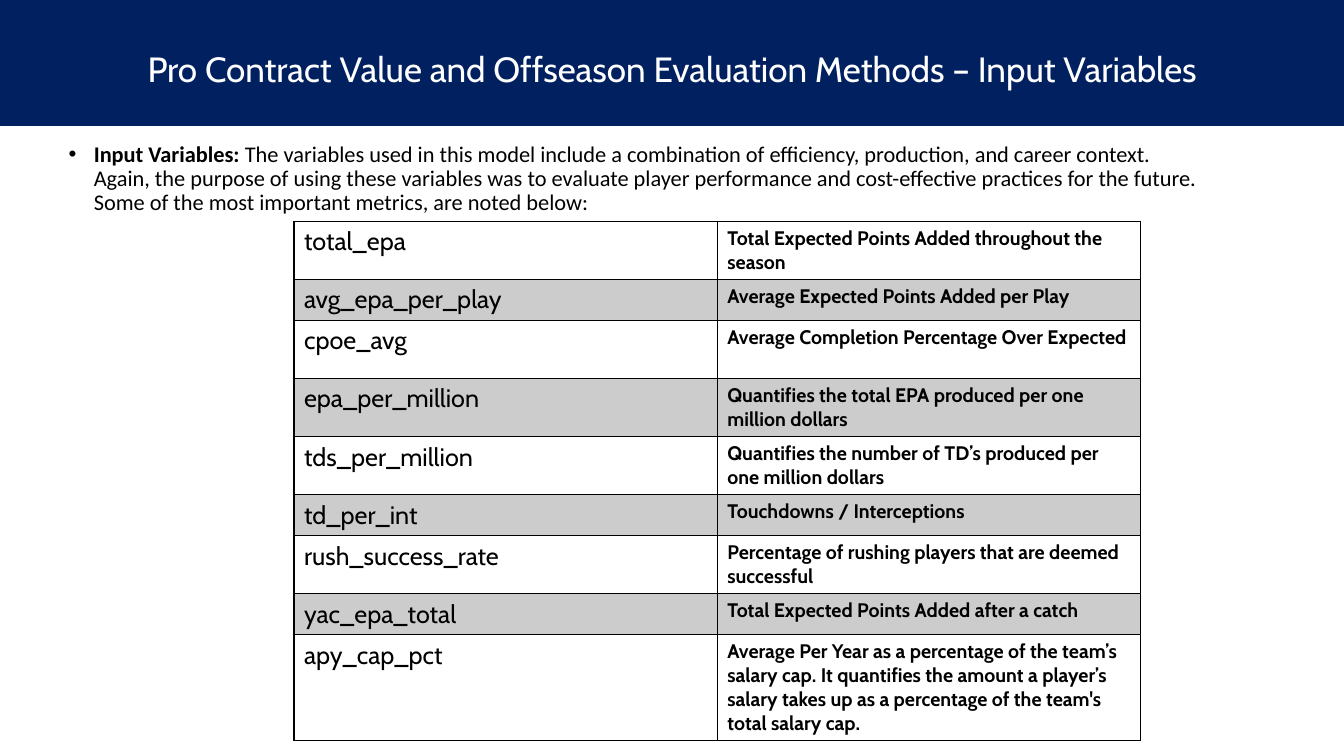
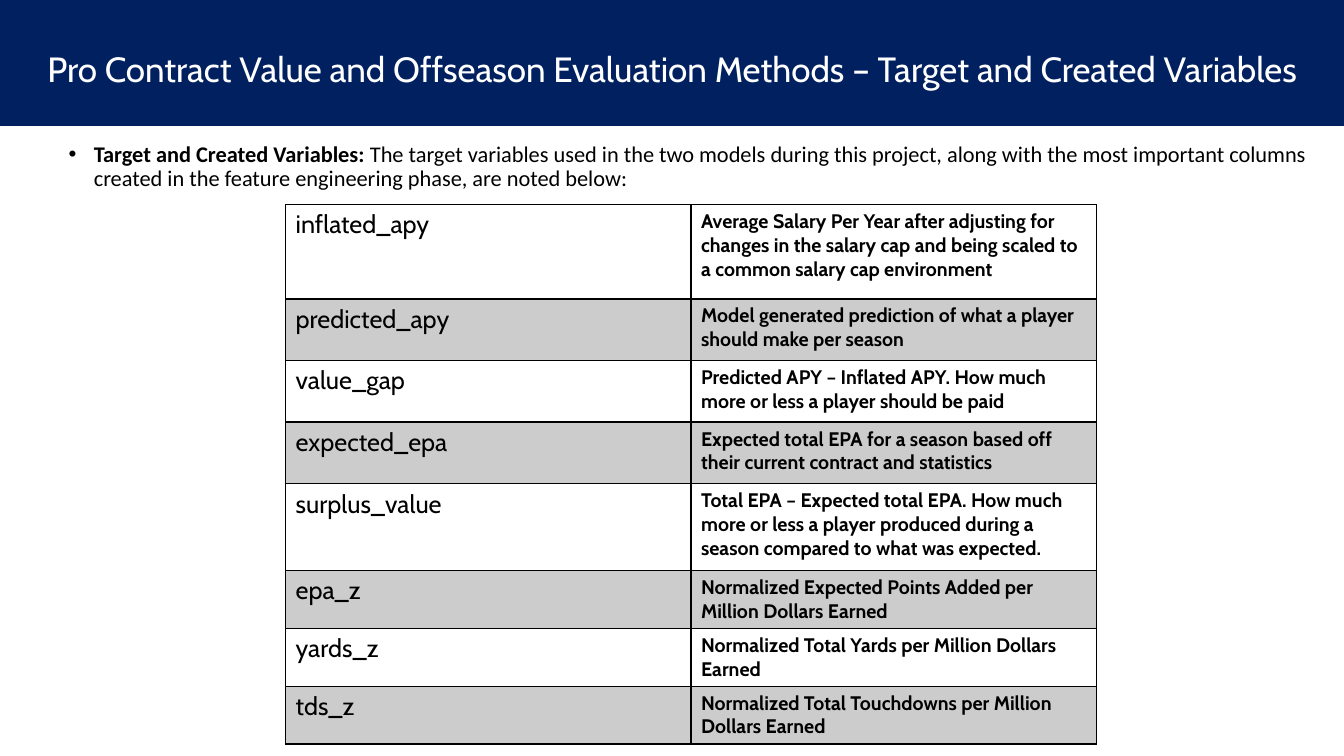
from lxml.etree import SubElement
from pptx import Presentation
from pptx.dml.color import RGBColor
from pptx.enum.text import MSO_ANCHOR, MSO_AUTO_SIZE, PP_ALIGN
from pptx.oxml.ns import qn
from pptx.util import Pt

COLORS = {"band": "002060", "title": "FFFFFF", "text": "000000", "stripe": "CCCCCC"}
SLIDE_WIDTH, SLIDE_HEIGHT = Pt(960), Pt(540)
TITLE_FONT, BODY_FONT = "Cabin", "Calibri"
TITLE_START = "Pro Contract Value and Offseason Evaluation Methods – "

INPUT_VARIABLES = [
    ("total_epa", "Total Expected Points Added throughout the season", 41.5),
    ("avg_epa_per_play", "Average Expected Points Added per Play", 29.2),
    ("cpoe_avg", "Average Completion Percentage Over Expected", 41.5),
    ("epa_per_million", "Quantifies the total EPA produced per one million dollars", 41.5),
    ("tds_per_million", "Quantifies the number of TD’s produced per one million dollars", 41.5),
    ("td_per_int", "Touchdowns / Interceptions", 29.2),
    ("rush_success_rate", "Percentage of rushing players that are deemed successful", 41.5),
    ("yac_epa_total", "Total Expected Points Added after a catch", 29.2),
    ("apy_cap_pct",
     "Average Per Year as a percentage of the team’s salary cap. It quantifies the amount "
     "a player’s salary takes up as a percentage of the team's total salary cap.", 75.6),
]
CREATED_VARIABLES = [
    ("inflated_apy",
     "Average Salary Per Year after adjusting for changes in the salary cap and being "
     "scaled to a common salary cap environment", 67.5),
    ("predicted_apy", "Model generated prediction of what a player should make per season", 44),
    ("value_gap",
     "Predicted APY – Inflated APY. How much more or less a player should be paid", 44),
    ("expected_epa",
     "Expected total EPA for a season based off their current contract and statistics", 44),
    ("surplus_value",
     "Total EPA – Expected total EPA. How much more or less a player produced during a "
     "season compared to what was expected.", 62),
    ("epa_z", "Normalized Expected Points Added per Million Dollars Earned", 41),
    ("yards_z", "Normalized Total Yards per Million Dollars Earned", 41),
    ("tds_z", "Normalized Total Touchdowns per Million Dollars Earned", 41),
]


def color(name):
    return RGBColor.from_string(COLORS[name])


def place(shape, left, top, width, height):
    shape.left, shape.top, shape.width, shape.height = left, top, width, height


def format_font(paragraph, name, size, color_name, bold=None):
    font = paragraph.font
    font.name, font.size, font.bold = name, Pt(size), bold
    font.color.rgb = color(color_name)


def add_title_band(slide, topic):
    title = slide.shapes.title
    place(title, 0, 0, SLIDE_WIDTH, Pt(90))
    title.fill.solid()
    title.fill.fore_color.rgb = color("band")
    frame = title.text_frame
    frame.text = TITLE_START + topic
    frame.auto_size = MSO_AUTO_SIZE.NONE
    frame.vertical_anchor = MSO_ANCHOR.MIDDLE
    frame.margin_top, frame.margin_bottom = Pt(8), 0
    paragraph = frame.paragraphs[0]
    paragraph.alignment = PP_ALIGN.CENTER
    format_font(paragraph, TITLE_FONT, 25, "title")


def add_introduction(slide, width, topic, text):
    """Fill the body with one bullet that opens with the topic in bold."""
    body = slide.placeholders[1]
    place(body, Pt(41.8), Pt(98.6), Pt(width), Pt(61))
    frame = body.text_frame
    frame.auto_size = MSO_AUTO_SIZE.NONE
    paragraph = frame.paragraphs[0]
    paragraph.line_spacing = 0.9
    paragraph.space_before = 0
    properties = paragraph._p.get_or_add_pPr()
    properties.set("marL", str(Pt(18)))
    properties.set("indent", str(-Pt(18)))
    SubElement(properties, qn("a:buFont"), typeface="Arial")
    SubElement(properties, qn("a:buChar"), char="•")
    format_font(paragraph, BODY_FONT, 16, "text")
    heading = paragraph.add_run()
    heading.text = f"{topic}: "
    heading.font.bold = True
    paragraph.add_run().text = text


def add_borders(cell):
    properties = cell._tc.get_or_add_tcPr()
    for side in ("lnL", "lnR", "lnT", "lnB"):
        line = SubElement(properties, qn(f"a:{side}"), w=str(Pt(1)))
        fill = SubElement(line, qn("a:solidFill"))
        SubElement(fill, qn("a:srgbClr"), val=COLORS["text"])


def fill_cell(cell, text, size, bold, striped):
    cell.text = text
    format_font(cell.text_frame.paragraphs[0], TITLE_FONT, size, "text", bold)
    add_borders(cell)
    if striped:
        cell.fill.solid()
        cell.fill.fore_color.rgb = color("stripe")
    else:
        cell.fill.background()


def add_variable_table(slide, left, top, column_width, variables):
    """Add a row for each (name, meaning, row height)."""
    height = sum(row_height for _, _, row_height in variables)
    frame = slide.shapes.add_table(
        len(variables), 2, Pt(left), Pt(top), Pt(2 * column_width), Pt(height))
    table = frame.table
    table.first_row = table.horz_banding = False
    for index, (name, meaning, row_height) in enumerate(variables):
        table.rows[index].height = Pt(row_height)
        striped = index % 2 == 1
        fill_cell(table.cell(index, 0), name, 18, False, striped)
        fill_cell(table.cell(index, 1), meaning, 14, True, striped)


def add_variable_slide(presentation, topic, text, text_width, table_place, variables):
    slide = presentation.slides.add_slide(presentation.slide_layouts[1])
    add_title_band(slide, topic)
    add_introduction(slide, text_width, topic, text)
    add_variable_table(slide, *table_place, variables)


def main():
    presentation = Presentation()
    presentation.slide_width, presentation.slide_height = SLIDE_WIDTH, SLIDE_HEIGHT
    add_variable_slide(
        presentation, "Input Variables",
        "The variables used in this model include a combination of efficiency, production, "
        "and career context. Again, the purpose of using these variables was to evaluate "
        "player performance and cost-effective practices for the future. Some of the most "
        "important metrics, are noted below:",
        828, (210, 158.2, 302.4), INPUT_VARIABLES)
    add_variable_slide(
        presentation, "Target and Created Variables",
        "The target variables used in the two models during this project, along with the "
        "most important columns created in the feature engineering phase, are noted below:",
        901.4, (204, 146, 289.6), CREATED_VARIABLES)
    presentation.save("out.pptx")


if __name__ == "__main__":
    main()
